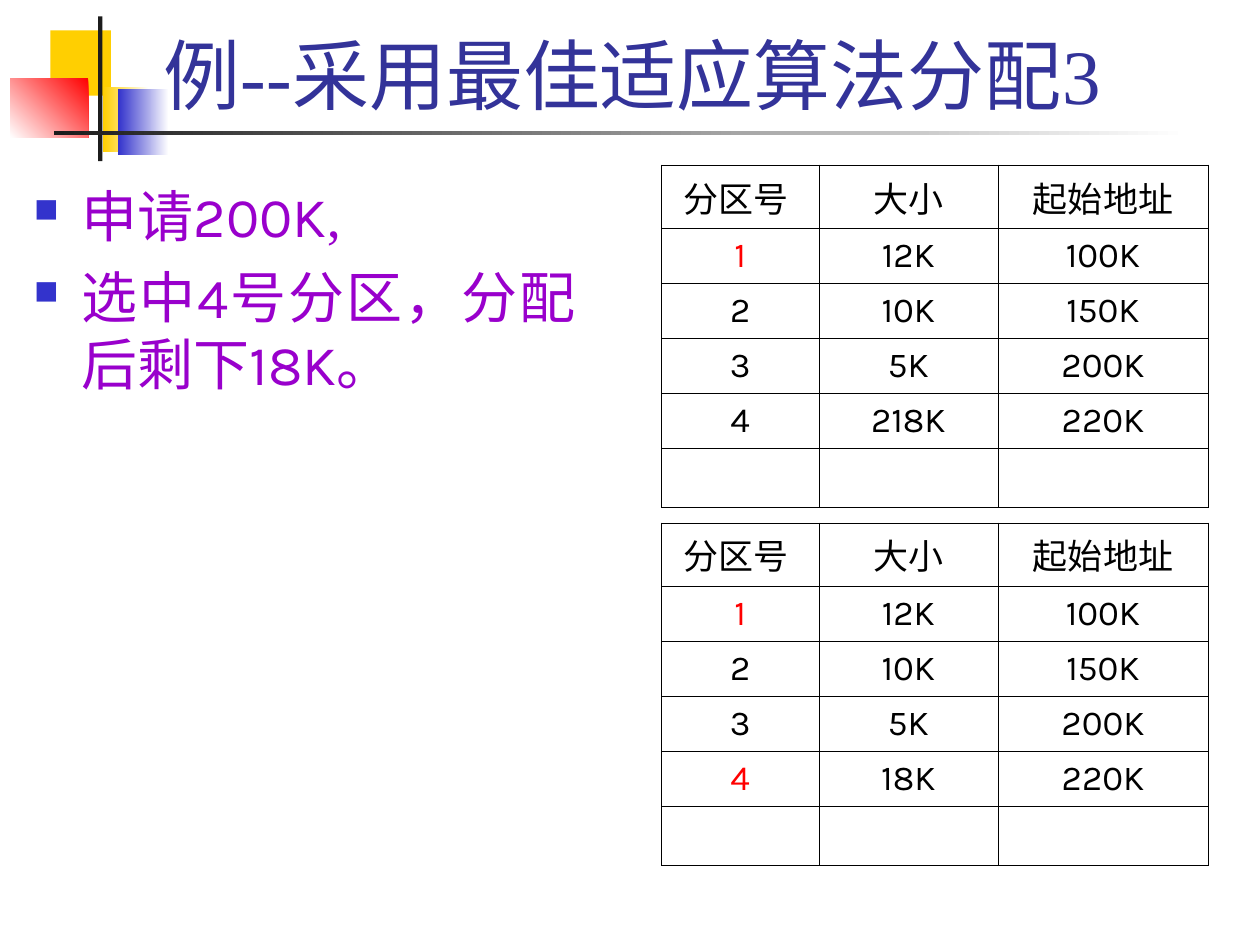
from lxml.etree import SubElement
from pptx import Presentation
from pptx.dml.color import RGBColor
from pptx.enum.shapes import MSO_SHAPE
from pptx.enum.text import MSO_ANCHOR, PP_ALIGN
from pptx.oxml import parse_xml
from pptx.oxml.ns import nsdecls, qn
from pptx.util import Inches, Pt

COLORS = {
    "black": "000000", "white": "FFFFFF", "red": "FF0000", "yellow": "FFCF01",
    "blue": "3333CC", "charcoal": "1C1C1C", "title": "333399", "body": "9900CC",
}
SERIF, SANS = "Times New Roman", "Karla"
GRID_COLUMNS, GRID_ROWS = 100, 75


def set_all(target, values):
    for name, value in values.items():
        setattr(target, name, value)


class SlideBuilder:
    def __init__(self, presentation):
        set_all(presentation, {"slide_width": Inches(10), "slide_height": Inches(7.5)})
        self.column = presentation.slide_width / GRID_COLUMNS
        self.row = presentation.slide_height / GRID_ROWS
        self.slide = presentation.slides.add_slide(presentation.slide_layouts[6])

    def place(self, left, top, width, height):
        return (round(left * self.column), round(top * self.row),
                round(width * self.column), round(height * self.row))

    def color(self, name):
        return RGBColor.from_string(COLORS[name])

    def block(self, box, colors, angle=180):
        shape = self.slide.shapes.add_shape(MSO_SHAPE.RECTANGLE, *self.place(*box))
        shape.shadow.inherit = False
        shape.line.fill.background()
        if len(colors) == 1:
            shape.fill.solid()
            shape.fill.fore_color.rgb = self.color(colors[0])
            return
        shape.fill.gradient()
        shape.fill.gradient_angle = angle
        for stop, name in zip(shape.fill.gradient_stops, colors):
            stop.color.rgb = self.color(name)

    def add_runs(self, paragraph, runs, size, color):
        for text, font_name in runs:
            run = paragraph.add_run()
            run.text = text
            set_all(run.font, {"size": Pt(size), "name": font_name})
            run.font.color.rgb = self.color(color)

    def text_box(self, box, anchor):
        frame = self.slide.shapes.add_textbox(*self.place(*box)).text_frame
        set_all(frame, {"word_wrap": True, "vertical_anchor": anchor})
        return frame

    def title(self, box, text):
        frame = self.text_box(box, MSO_ANCHOR.BOTTOM)
        self.add_runs(frame.paragraphs[0], [(text, SERIF)], 44, "title")

    def bullets(self, box, items):
        frame = self.text_box(box, MSO_ANCHOR.TOP)
        for index, runs in enumerate(items):
            paragraph = frame.add_paragraph() if index else frame.paragraphs[0]
            properties = paragraph._p.get_or_add_pPr()
            properties.set("marL", str(Inches(0.38)))
            properties.set("indent", str(Inches(-0.38)))
            bullet_color = SubElement(properties, qn("a:buClr"))
            SubElement(bullet_color, qn("a:srgbClr"), val=COLORS["blue"])
            SubElement(properties, qn("a:buSzPct"), val="60000")
            SubElement(properties, qn("a:buChar"), char="■")
            set_all(paragraph, {"alignment": PP_ALIGN.JUSTIFY, "space_before": Pt(8 if index else 0)})
            self.add_runs(paragraph, runs, 32, "body")

    def border(self, cell):
        properties = cell._tc.get_or_add_tcPr()
        for index, side in enumerate("LRTB"):
            properties.insert(index, parse_xml(
                f'<a:ln{side} {nsdecls("a")} w="{Pt(0.45)}"><a:solidFill>'
                f'<a:srgbClr val="{COLORS["black"]}"/></a:solidFill></a:ln{side}>'))

    def table(self, box, widths, heights, rows, red_numbers):
        table = self.slide.shapes.add_table(len(rows), len(widths), *self.place(*box)).table
        set_all(table, {"first_row": False, "horz_banding": False})
        for column, width in zip(table.columns, widths):
            column.width = round(width * self.column)
        for row, height, texts in zip(table.rows, heights, rows):
            row.height = round(height * self.row)
            for index, (cell, text) in enumerate(zip(row.cells, texts)):
                cell.fill.background()
                self.border(cell)
                cell.vertical_anchor = MSO_ANCHOR.MIDDLE
                if not text:
                    continue
                paragraph = cell.text_frame.paragraphs[0]
                paragraph.alignment = PP_ALIGN.CENTER
                is_red = index == 0 and text in red_numbers
                font_name = SERIF if text == HEADER[0] else SANS
                self.add_runs(paragraph, [(text, font_name)], 20, "red" if is_red else "black")


HEADER = ("分区号 ", "大小", "起始地址")
ADDRESSES = ("100K", "150K", "200K", "220K")
BLOCKS = [
    ((4, 2.4, 4.8, 5.2), ["yellow"]),
    ((8.2, 6.9, 3.6, 5.2), ["white", "yellow"]),
    ((9.4, 7.1, 4, 5.2), ["white", "blue"]),
    ((0.8, 6.2, 6.2, 4.7), ["red", "white"], 225),
    ((7.8, 1.3, 0.33, 11.5), ["charcoal"]),
    ((4.3, 10.4, 90, 0.3), ["white", "charcoal"]),
]
BULLETS = [
    [("申请", SERIF), ("200K", SANS), (",", SERIF)],
    [("选中", SERIF), ("4", SANS), ("号分区，分配后剩下", SERIF), ("18K", SANS), ("。", SERIF)],
]
TABLES = [
    (13.1, ("12K", "10K", "5K", "218K"), ("1",)),
    (41.5, ("12K", "10K", "5K", "18K"), ("1", "4")),
]


def main():
    presentation = Presentation()
    builder = SlideBuilder(presentation)
    for block in BLOCKS:
        builder.block(*block)
    builder.title((12, 1.7, 85.2, 8.3), "例--采用最佳适应算法分配3")
    builder.bullets((1.7, 13.9, 45, 45), BULLETS)
    for top, sizes, red_numbers in TABLES:
        partitions = [(str(number), size, address) for number, (size, address)
                      in enumerate(zip(sizes, ADDRESSES), 1)]
        rows = [HEADER, *partitions, ("", "", "")]
        heights = [5, *[4.37] * len(partitions), 4.7]
        builder.table((52.5, top, 43.4, sum(heights)), (12.5, 14.2, 16.7), heights, rows, red_numbers)
    presentation.save("out.pptx")


if __name__ == "__main__":
    main()
